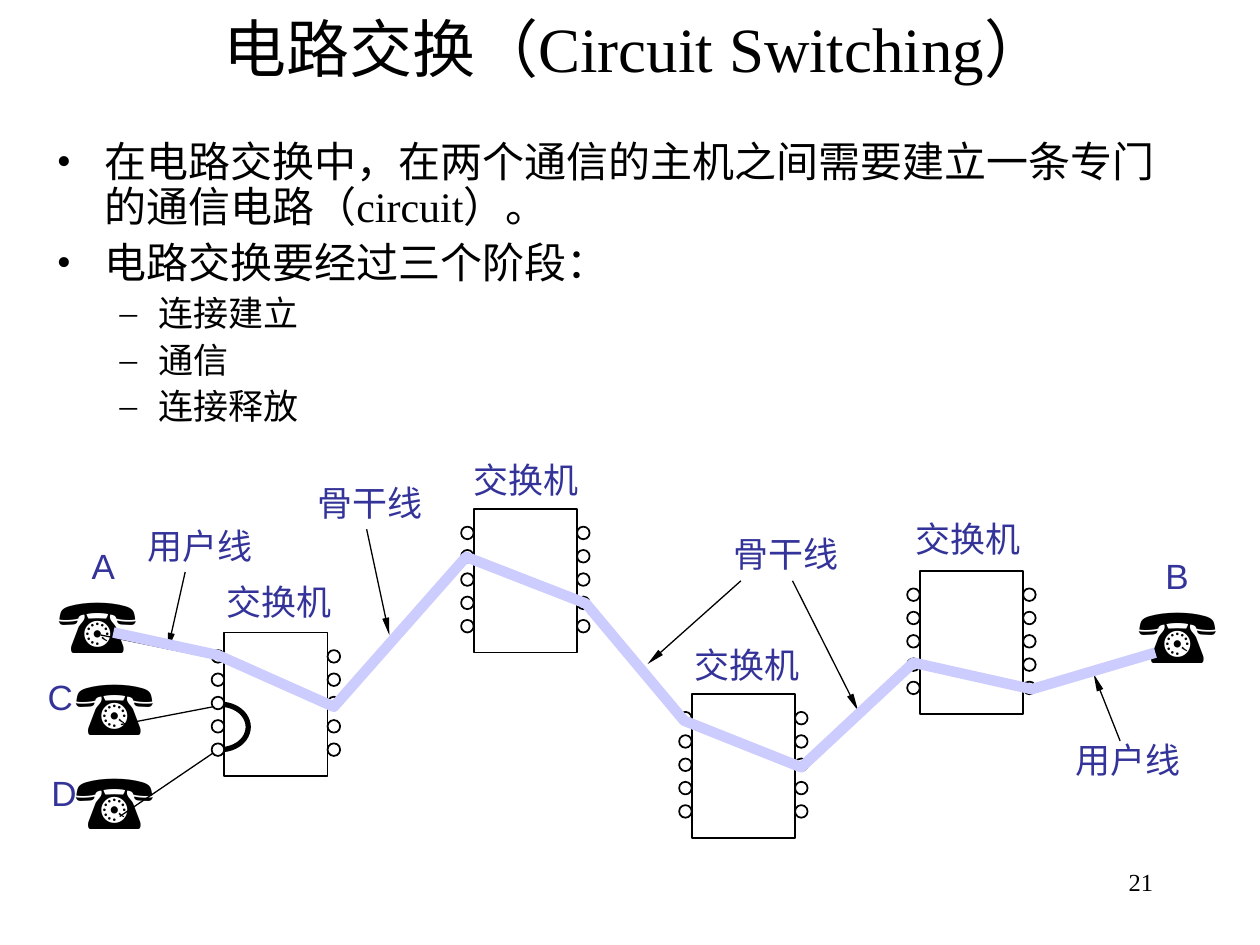
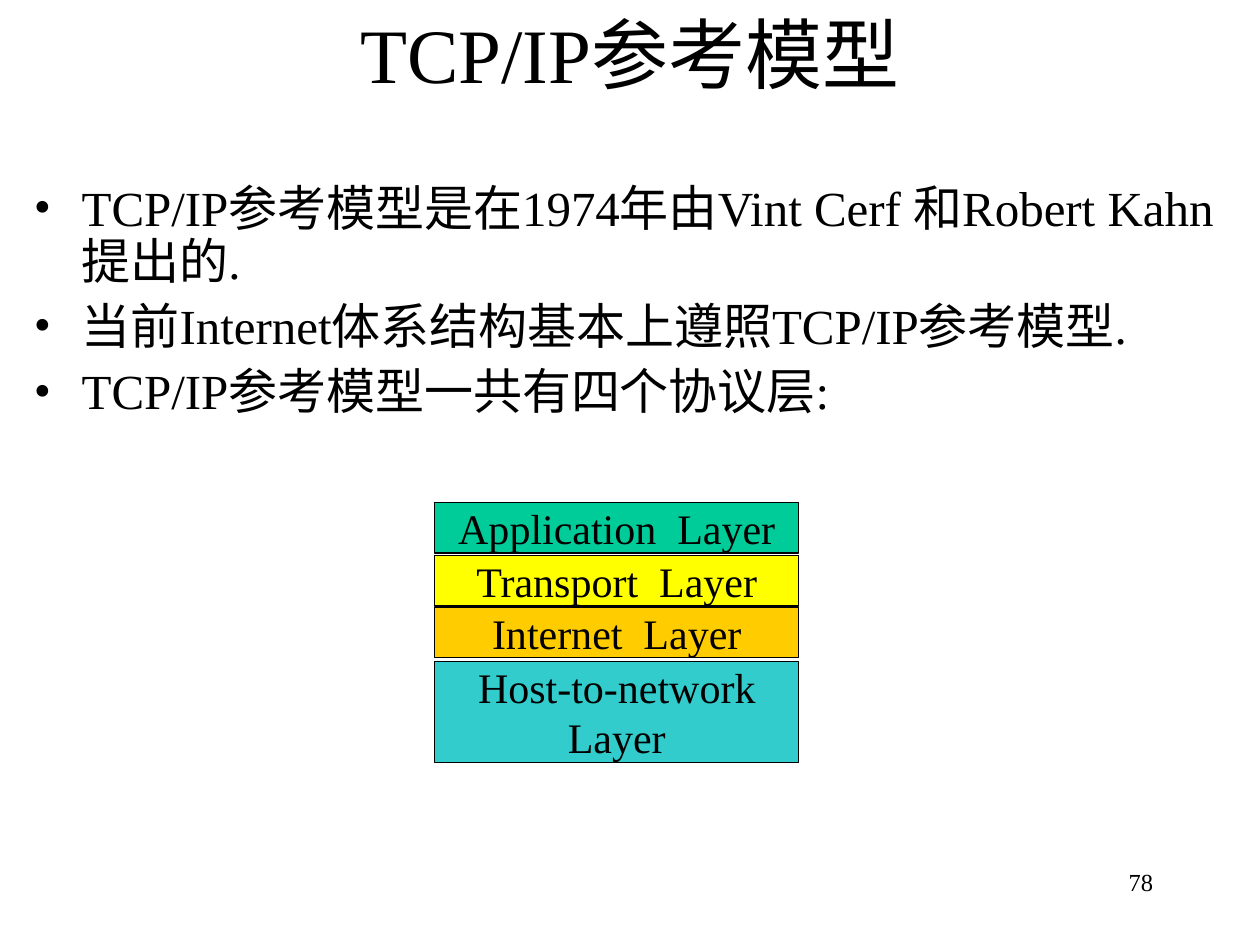
from math import cos, pi, sin

from lxml import etree
from pptx import Presentation
from pptx.dml.color import RGBColor
from pptx.enum.shapes import MSO_CONNECTOR as CONN, MSO_SHAPE as SHAPE
from pptx.enum.text import MSO_ANCHOR as ANCHOR, MSO_AUTO_SIZE as FIT, PP_ALIGN as ALIGN
from pptx.oxml.ns import qn
from pptx.util import Inches, Pt

SERIF, SANS = "Times New Roman", "Arial"
BLACK, WHITE, LABEL, CIRCUIT = "000000", "FFFFFF", "333399", "CCCCFF"
SWITCH_W, SWITCH_H, PORT, PORT_TOP, PORT_STEP = 0.82, 1.14, 0.1, 0.14, 0.185

SWITCHES = [(1.78, 5.02), (3.76, 4.04), (5.49, 5.51), (7.3, 4.53)]
PHONES = [(0.37, 4.53), (8.94, 4.61), (0.5, 5.18), (0.5, 5.92)]
USER_LINES = [(0.95, 6.48, 1.73, 5.95), (0.96, 5.75, 1.74, 5.6),
              (8.17, 5.48, 9.19, 5.16), (0.8, 5.04, 1.73, 5.23)]
POINTERS = [(1.47, 4.54, 1.33, 5.16), (8.89, 5.88, 8.68, 5.35), (5.88, 4.61, 5.14, 5.27),
            (6.29, 4.61, 6.81, 5.64), (2.91, 4.2, 3.09, 5.04)]
LINE_LABELS = [("交换机", 1.7, 4.56), ("交换机", 3.66, 3.59), ("交换机", 5.41, 5.06),
               ("交换机", 7.17, 4.06), ("用户线", 1.07, 4.11), ("用户线", 8.44, 5.81),
               ("骨干线", 5.72, 4.18), ("骨干线", 2.42, 3.77)]
HOST_LABELS = [("B", 9.15, 4.35), ("D", 0.31, 6.07), ("C", 0.28, 5.31), ("A", 0.63, 4.27)]
CIRCUIT_PATH = [(0.9, 5.02), (1.73, 5.2), (2.65, 5.61), (3.7, 4.42), (4.65, 4.79),
                (5.43, 5.72), (6.36, 6.09), (7.25, 5.26), (8.19, 5.47), (9.17, 5.18)]
LAYERS = [(["Application  Layer"], 3.99, 0.4, "00CC99"),
          (["Transport  Layer"], 4.41, 0.4, "FFFF00"),
          (["Internet  Layer"], 4.82, 0.4, "FFCC00"),
          (["Host-to-network", "Layer"], 5.25, 0.8, "33CCCC")]


def rgb(value):
    """Turn a hex string into a colour."""
    return RGBColor.from_string(value)


def add_run(p, text, size, font=SERIF, color=BLACK):
    """Append one formatted run to a paragraph."""
    r = p.add_run()
    r.text = text
    r.font.size = Pt(size)
    r.font.name = font
    r.font.color.rgb = rgb(color)


def set_line(shape, color, width):
    """Give a shape or connector a solid outline."""
    shape.line.color.rgb = rgb(color)
    shape.line.width = Pt(width)


def add_text(s, text, x, y, w, h, size, font=SERIF, color=BLACK, align=None, wrap=False):
    """Add a one-paragraph text box that grows unless it wraps."""
    tf = s.shapes.add_textbox(Inches(x), Inches(y), Inches(w), Inches(h)).text_frame
    tf.word_wrap = wrap
    tf.auto_size = FIT.NONE if wrap else FIT.SHAPE_TO_FIT_TEXT
    p = tf.paragraphs[0]
    p.alignment = align
    add_run(p, text, size, font, color)


def add_title_slide(prs, title, box, size, number):
    """Add a slide with its title and page number."""
    s = prs.slides.add_slide(prs.slide_layouts[5])
    sp = s.shapes.title
    sp.left, sp.top, sp.width, sp.height = [Inches(v) for v in box]
    tf = sp.text_frame
    tf.auto_size = FIT.NONE
    tf.vertical_anchor = ANCHOR.MIDDLE
    p = tf.paragraphs[0]
    p.alignment = ALIGN.CENTER
    add_run(p, title, size)
    add_text(s, number, 7.17, 6.83, 2.08, 0.5, 14, align=ALIGN.RIGHT, wrap=True)
    return s


def add_bullets(s, box, items, sizes, spaces):
    """Add a bulleted list of (level, text) items."""
    tf = s.shapes.add_textbox(*[Inches(v) for v in box]).text_frame
    tf.word_wrap = True
    for i, (level, text) in enumerate(items):
        p = tf.add_paragraph() if i else tf.paragraphs[0]
        left, hang, mark = [(0.38, 0.38, "•"), (0.81, 0.31, "–")][level]
        p.level = level
        p.line_spacing = 0.9
        p.space_before = Pt(spaces[level] if i else 0)
        pPr = p._p.get_or_add_pPr()
        pPr.set("marL", str(Inches(left)))
        pPr.set("indent", str(-Inches(hang)))
        etree.SubElement(pPr, qn("a:buFont")).set("typeface", SERIF)
        etree.SubElement(pPr, qn("a:buChar")).set("char", mark)
        add_run(p, text, sizes[level])


def add_box(s, kind, x, y, w, h, fill=None, width=1):
    """Add an outlined preset shape, filled or open."""
    sp = s.shapes.add_shape(kind, Inches(x), Inches(y), Inches(w), Inches(h))
    sp.shadow.inherit = False
    if fill:
        sp.fill.solid()
        sp.fill.fore_color.rgb = rgb(fill)
    else:
        sp.fill.background()
    set_line(sp, BLACK, width)
    return sp


def add_line(s, x1, y1, x2, y2, arrow=False):
    """Add a thin straight line, with a slim arrowhead if asked."""
    cx = s.shapes.add_connector(CONN.STRAIGHT, Inches(x1), Inches(y1), Inches(x2), Inches(y2))
    set_line(cx, BLACK, 0.75)
    if arrow:
        etree.SubElement(cx.line._get_or_add_ln(), qn("a:tailEnd"),
                         type="triangle", w="sm", len="lg")
    etree.SubElement(cx._element.spPr, qn("a:effectLst"))


def add_path(s, points, color, width):
    """Draw an open outline through the points."""
    start, *rest = [(Inches(x), Inches(y)) for x, y in points]
    fb = s.shapes.build_freeform(*start)
    fb.add_line_segments(rest, close=False)
    sp = fb.convert_to_shape()
    sp.shadow.inherit = False
    sp.fill.background()
    set_line(sp, color, width)


def add_switch(s, x, y):
    """Draw a switch with five ports on each side."""
    add_box(s, SHAPE.RECTANGLE, x, y, SWITCH_W, SWITCH_H)
    for port_x in (x - PORT, x + SWITCH_W):
        for i in range(5):
            add_box(s, SHAPE.OVAL, port_x, y + PORT_TOP + i * PORT_STEP, PORT, PORT, WHITE)


def add_layer(s, lines, y, h, fill):
    """Draw one layer of the protocol stack."""
    tf = add_box(s, SHAPE.RECTANGLE, 3.45, y, 2.89, h, fill, 0.75).text_frame
    tf.margin_left = tf.margin_right = Inches(0.02)
    tf.margin_top = tf.margin_bottom = 0
    tf.vertical_anchor = ANCHOR.MIDDLE
    for i, text in enumerate(lines):
        p = tf.add_paragraph() if i else tf.paragraphs[0]
        p.alignment = ALIGN.CENTER
        add_run(p, text, 24)


def add_network(s):
    """Draw the telephones, switches and the circuit from A to B."""
    angles = [-pi / 2 + pi * i / 24 for i in range(25)]
    add_path(s, [(1.75 + 0.22 * cos(a), 5.77 + 0.18 * sin(a)) for a in angles], BLACK, 3)
    for ends in USER_LINES:
        add_line(s, *ends)
    for x, y in SWITCHES:
        add_switch(s, x, y)
    for x, y in PHONES:
        add_text(s, "☎", x, y, 0.84, 0.84, 44, SANS)
    for ends in POINTERS:
        add_line(s, *ends, arrow=True)
    for text, x, y in LINE_LABELS:
        add_text(s, text, x, y, 1.05, 0.44, 20, SERIF, LABEL)
    for text, x, y in HOST_LABELS:
        add_text(s, text, x, y, 0.4, 0.44, 20, SANS, LABEL)
    add_path(s, CIRCUIT_PATH, CIRCUIT, 6)


def main():
    """Build both slides and save them."""
    prs = Presentation()
    prs.slide_width, prs.slide_height = Inches(10), Inches(7.5)

    s = add_title_slide(prs, "电路交换（Circuit Switching）", (0.42, 0, 9.25, 0.75), 36, "21")
    add_bullets(s, (0.35, 1.07, 9.21, 2.52), [
        (0, "在电路交换中，在两个通信的主机之间需要建立一条专门的通信电路（circuit）。"),
        (0, "电路交换要经过三个阶段："),
        (1, "连接建立"),
        (1, "通信"),
        (1, "连接释放")], (24, 20), (6, 5))
    add_network(s)

    s = add_title_slide(prs, "TCP/IP参考模型", (0.75, -0.08, 8.5, 1), 44, "78")
    add_bullets(s, (0.17, 1.41, 9.75, 2.42), [
        (0, "TCP/IP参考模型是在1974年由Vint Cerf 和Robert Kahn提出的."),
        (0, "当前Internet体系结构基本上遵照TCP/IP参考模型."),
        (0, "TCP/IP参考模型一共有四个协议层:")], (28,), (7,))
    for layer in LAYERS:
        add_layer(s, *layer)

    prs.save("out.pptx")


if __name__ == "__main__":
    main()
